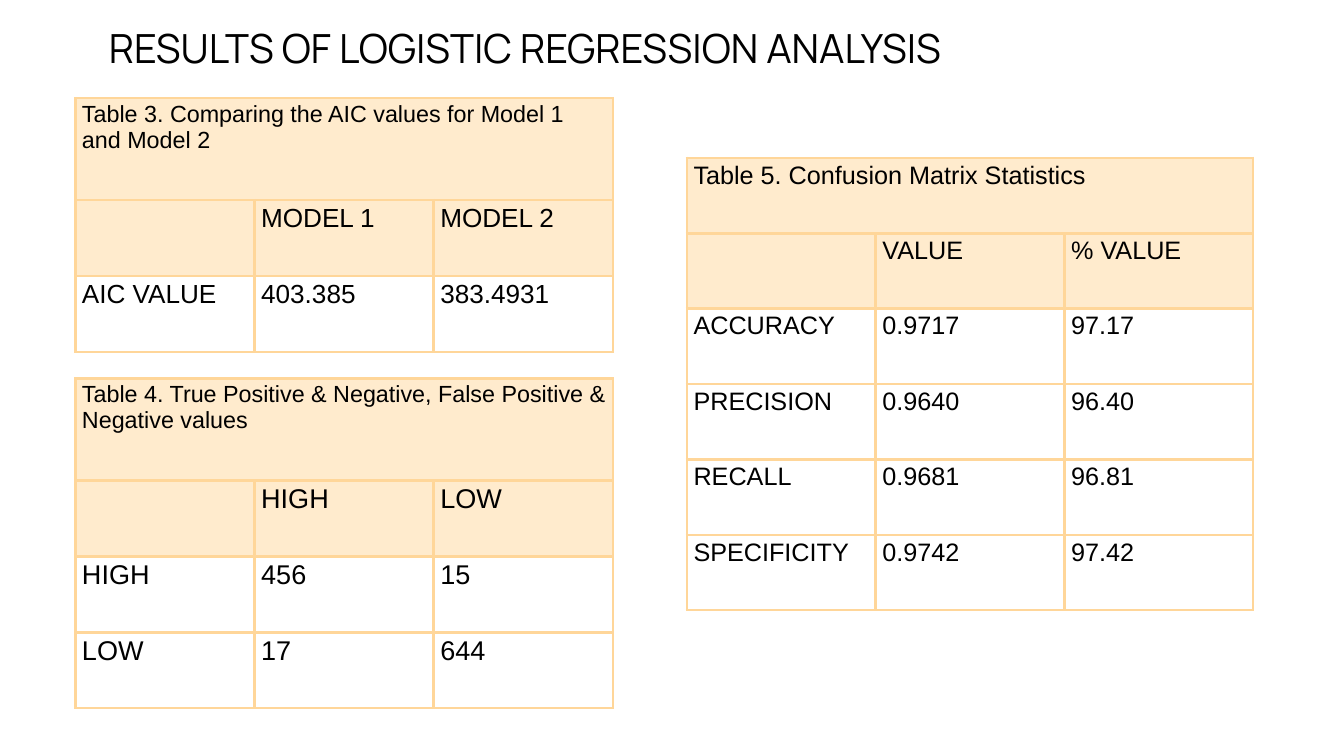
from dataclasses import dataclass

from lxml.etree import SubElement
from pptx import Presentation
from pptx.dml.color import RGBColor
from pptx.enum.text import MSO_ANCHOR, MSO_AUTO_SIZE, PP_ALIGN
from pptx.oxml.ns import qn
from pptx.util import Inches, Pt


@dataclass(frozen=True)
class Theme:
    """Colours, fonts and type sizes of the slide."""
    ink: str = "000000"
    header: str = "FFEBCD"
    border: str = "FFD699"
    border_pt: float = 3
    title_font: str = "Manrope"
    body_font: str = "Arial"
    title_pt: float = 43
    title_leading: float = 60.2
    caption_pt: float = 25
    aic_pt: float = 28
    counts_pt: float = 29
    stats_pt: float = 27


THEME = Theme()
WIDTH, HEIGHT = 20, 11.25
LEFT_X, LEFT_W = 1.12, 8
RIGHT_X, RIGHT_W = 10.22, 8.43
CAPTION_H, ROW_H = 1.52, 1.13
STATS_H = 6.73
HEADER_ROWS = 2

AIC = [
    ["", "MODEL 1", "MODEL 2"],
    ["AIC VALUE", "403.385", "383.4931"],
]
COUNTS = [
    ["", "HIGH", "LOW"],
    ["HIGH", "456", "15"],
    ["LOW", "17", "644"],
]
STATS = [
    ["", "VALUE", "% VALUE"],
    ["ACCURACY", "0.9717", "97.17"],
    ["PRECISION", "0.9640", "96.40"],
    ["RECALL", "0.9681", "96.81"],
    ["SPECIFICITY", "0.9742", "97.42"],
]


def write(tf, text, size, font=THEME.body_font, align=PP_ALIGN.LEFT, leading=None):
    """Put formatted text in the first paragraph of a text frame."""
    p = tf.paragraphs[0]
    p.alignment = align
    if leading:
        p.line_spacing = Pt(leading)
    p.font.size = Pt(size)
    if text:
        r = p.add_run()
        r.text = text
        r.font.name = font
        r.font.size = Pt(size)
        r.font.color.rgb = RGBColor.from_string(THEME.ink)


def add_title(s, text):
    """Place and format the title placeholder."""
    sp = s.shapes.title
    sp.left, sp.top, sp.width, sp.height = map(Inches, (0, 0.23, 15.62, 0.84))
    tf = sp.text_frame
    tf.margin_left = tf.margin_right = tf.margin_top = tf.margin_bottom = 0
    tf.vertical_anchor = MSO_ANCHOR.TOP
    tf.word_wrap = True
    tf.auto_size = MSO_AUTO_SIZE.SHAPE_TO_FIT_TEXT
    write(tf, text, THEME.title_pt, font=THEME.title_font,
          align=PP_ALIGN.CENTER, leading=THEME.title_leading)


def style_cell(cell, is_header):
    """Draw the four borders of a cell and set its fill."""
    tcPr = cell._tc.get_or_add_tcPr()
    for side in ("a:lnL", "a:lnR", "a:lnT", "a:lnB"):
        ln = SubElement(tcPr, qn(side), w=str(Pt(THEME.border_pt)))
        fill = SubElement(ln, qn("a:solidFill"))
        SubElement(fill, qn("a:srgbClr"), val=THEME.border)
    if is_header:
        cell.fill.solid()
        cell.fill.fore_color.rgb = RGBColor.from_string(THEME.header)
    else:
        cell.fill.background()


def add_data_table(s, caption, body, x, y, w, caption_h, row_h, caption_pt, body_pt):
    """Add a table whose first row is a caption across all columns."""
    n_cols = len(body[0])
    rows = [[caption] + [""] * (n_cols - 1)] + body
    heights = [caption_h] + [row_h] * len(body)
    frame = s.shapes.add_table(len(rows), n_cols, Inches(x), Inches(y),
                               Inches(w), Inches(sum(heights)))
    table = frame.table
    table.first_row = table.horz_banding = False
    for col in table.columns:
        col.width = Inches(w / n_cols)
    for i, (values, h) in enumerate(zip(rows, heights)):
        table.rows[i].height = Inches(h)
        for j, value in enumerate(values):
            cell = table.cell(i, j)
            style_cell(cell, i < HEADER_ROWS)
            write(cell.text_frame, value, body_pt if i else caption_pt)
    table.cell(0, 0).merge(table.cell(0, n_cols - 1))


def main():
    """Build the slide and save it."""
    prs = Presentation()
    prs.slide_width, prs.slide_height = Inches(WIDTH), Inches(HEIGHT)
    s = prs.slides.add_slide(prs.slide_layouts.get_by_name("Title Only"))
    add_title(s, "RESULTS OF LOGISTIC REGRESSION ANALYSIS")
    add_data_table(s, "Table 3. Comparing the AIC values for Model 1 and Model 2",
                   AIC, LEFT_X, 1.46, LEFT_W, CAPTION_H, ROW_H,
                   THEME.caption_pt, THEME.aic_pt)
    add_data_table(s, "Table 4. True Positive & Negative, False Positive & Negative values",
                   COUNTS, LEFT_X, 5.63, LEFT_W, CAPTION_H, ROW_H,
                   THEME.caption_pt, THEME.counts_pt)
    stats_row_h = STATS_H / (len(STATS) + 1)
    add_data_table(s, "Table 5. Confusion Matrix Statistics",
                   STATS, RIGHT_X, 2.35, RIGHT_W, stats_row_h, stats_row_h,
                   THEME.stats_pt, THEME.stats_pt)
    prs.save("out.pptx")


if __name__ == "__main__":
    main()
